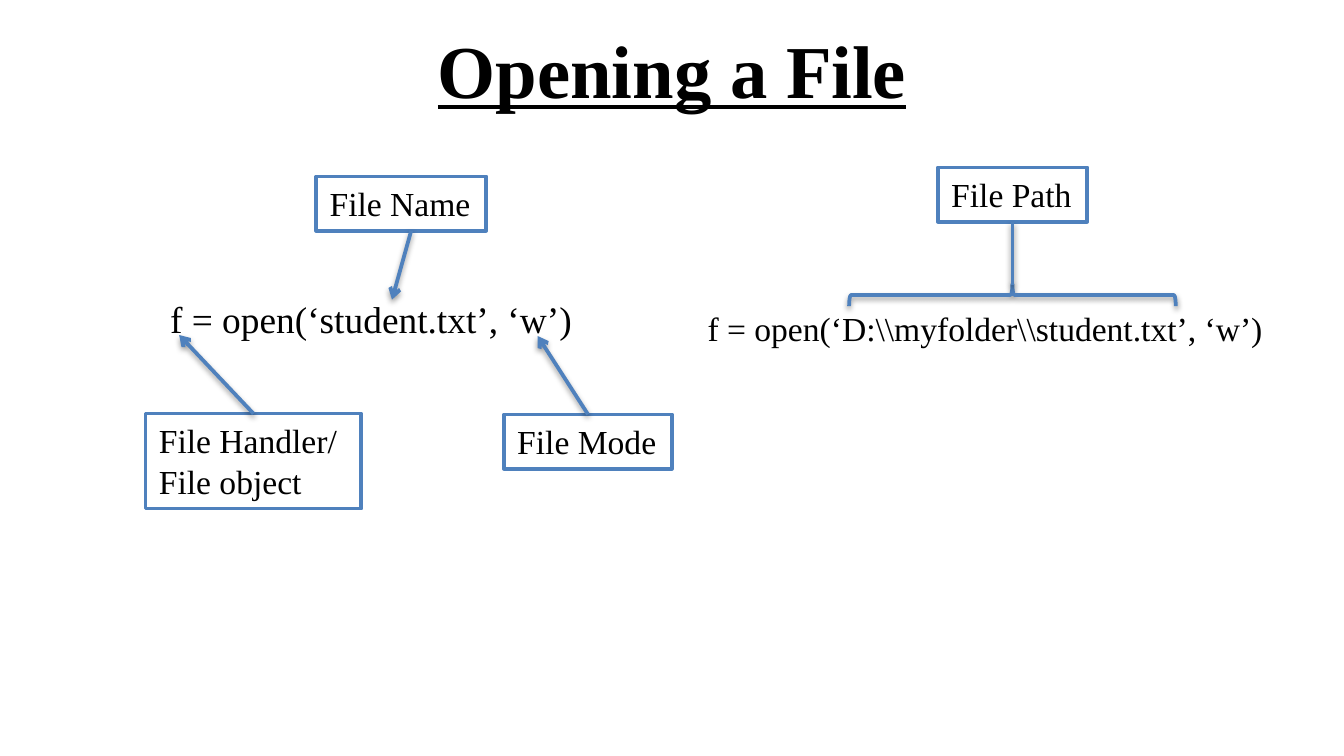
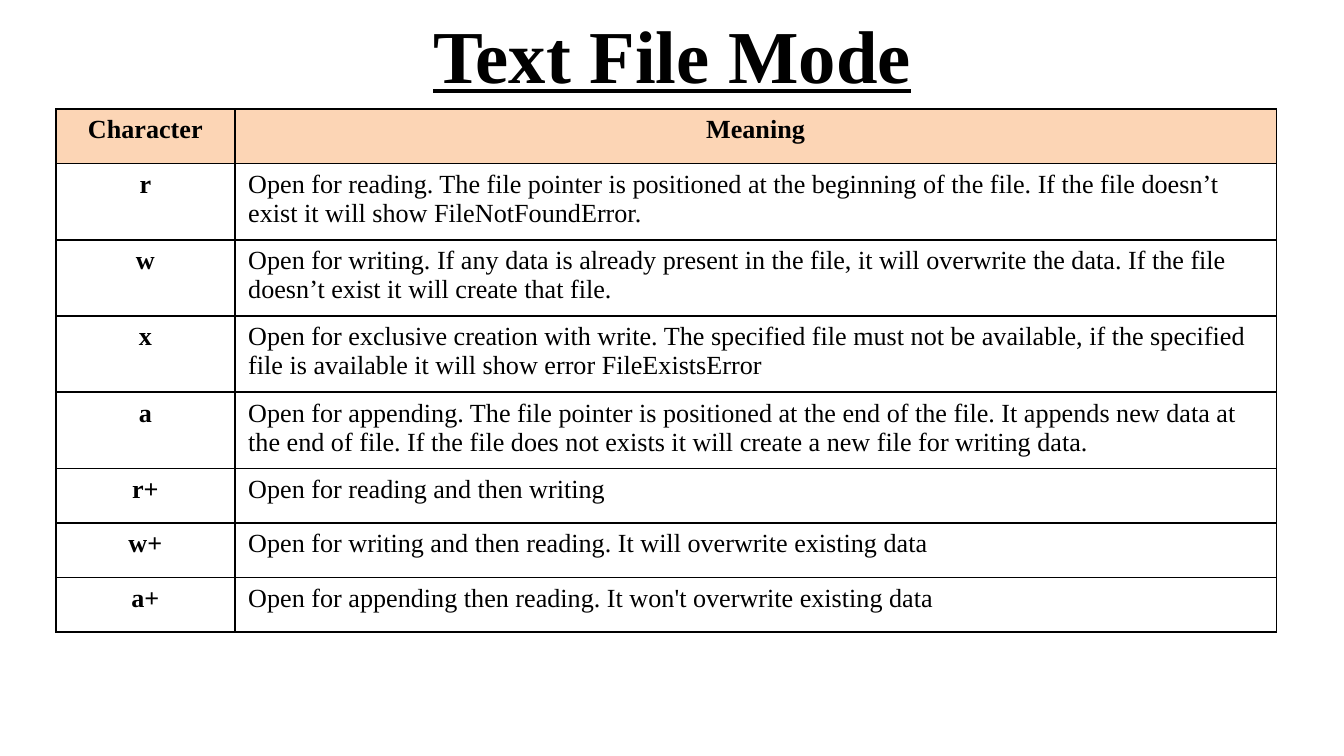
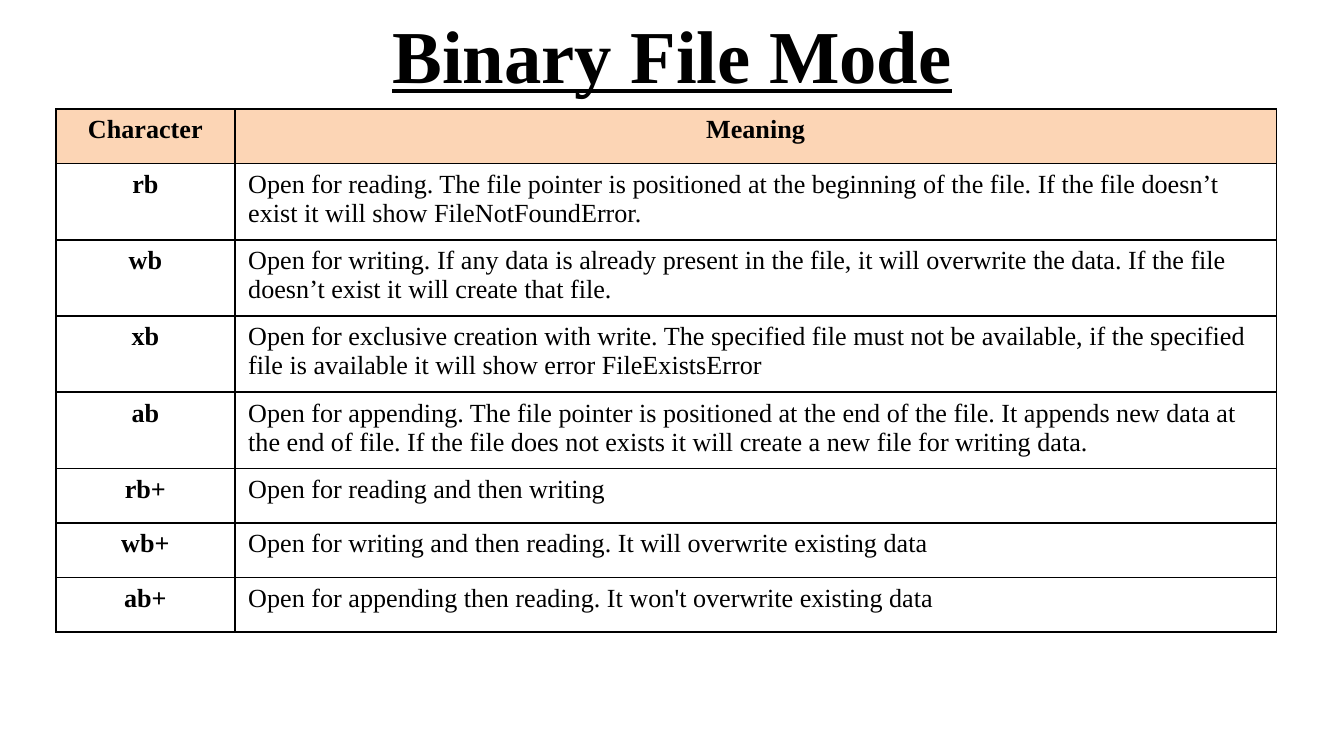
from lxml import etree
from pptx import Presentation
from pptx.dml.color import RGBColor
from pptx.enum import shapes, text
from pptx.oxml import ns
from pptx.util import Pt

FONT = "Times New Roman"
HUES = {"ink": "000000", "paper": "FFFFFF", "edge": "4F81BD", "head": "FCD5B5"}
COLS = (95.8, 558)
ROW = 29.2
MODES = (
    ("r", "Open for reading. The file pointer is positioned at the beginning of the file. "
     "If the file doesn’t exist it will show FileNotFoundError."),
    ("w", "Open for writing. If any data is already present in the file, it will overwrite "
     "the data. If the file doesn’t exist it will create that file."),
    ("x", "Open for exclusive creation with write. The specified file must not be available, "
     "if the specified file is available it will show error FileExistsError"),
    ("a", "Open for appending. The file pointer is positioned at the end of the file. It appends "
     "new data at the end of file. If the file does not exists it will create a new file "
     "for writing data."),
    ("r+", "Open for reading and then writing"),
    ("w+", "Open for writing and then reading. It will overwrite existing data"),
    ("a+", "Open for appending then reading. It won't overwrite existing data"),
)


def hue(name):
    return RGBColor.from_string(HUES[name])


def add_node(parent, tag, **attrs):
    return etree.SubElement(parent, ns.qn(tag), attrs)


def write(frame, words, size, bold=False, line=False, align=text.PP_ALIGN.LEFT):
    frame.text = words
    for para in frame.paragraphs:
        para.alignment = align
        for run in para.runs:
            font = run.font
            font.name, font.size = FONT, Pt(size)
            font.bold, font.underline = bold, line
            font.color.rgb = hue("ink")


def add_text(slide, words, box, size, wrap=True, **style):
    frame = slide.shapes.add_textbox(*map(Pt, box)).text_frame
    frame.word_wrap = wrap
    write(frame, words, size, **style)
    return frame


def add_title(slide, words, top, high):
    frame = add_text(slide, words, (36, top, 648, high), 40,
                     bold=True, line=True, align=text.PP_ALIGN.CENTER)
    frame.vertical_anchor = text.MSO_ANCHOR.MIDDLE


def draw_edge(shape):
    shape.line.color.rgb = hue("edge")
    shape.line.width = Pt(2)


def add_label(slide, words, box):
    label = slide.shapes.add_shape(shapes.MSO_SHAPE.RECTANGLE, *map(Pt, box))
    label.shadow.inherit = False
    label.fill.solid()
    label.fill.fore_color.rgb = hue("paper")
    draw_edge(label)
    frame = label.text_frame
    frame.word_wrap = False
    frame.auto_size = text.MSO_AUTO_SIZE.SHAPE_TO_FIT_TEXT
    frame.vertical_anchor = text.MSO_ANCHOR.TOP
    write(frame, words, 18)


def cast_shade(shape):
    effect = add_node(shape._element.spPr, "a:effectLst")
    shade = add_node(effect, "a:outerShdw", blurRad=str(Pt(3.1)), dist=str(Pt(1.6)),
                     dir="5400000", rotWithShape="0")
    tint = add_node(shade, "a:srgbClr", val=HUES["ink"])
    add_node(tint, "a:alpha", val="38000")


def add_link(slide, start, end, arrow=True):
    link = slide.shapes.add_connector(shapes.MSO_CONNECTOR.STRAIGHT, *map(Pt, start + end))
    draw_edge(link)
    if arrow:
        add_node(link._element.spPr.find(ns.qn("a:ln")), "a:tailEnd", type="arrow")
    cast_shade(link)


def add_brace(slide, box):
    brace = slide.shapes.add_shape(shapes.MSO_SHAPE.RIGHT_BRACE, *map(Pt, box))
    brace.rotation = 270
    brace.fill.background()
    draw_edge(brace)
    cast_shade(brace)


def add_rules(cell):
    props = cell._tc.get_or_add_tcPr()
    for side in ("a:lnL", "a:lnR", "a:lnT", "a:lnB"):
        rule = add_node(props, side, w=str(Pt(1)))
        add_node(add_node(rule, "a:solidFill"), "a:srgbClr", val=HUES["ink"])


def add_grid(slide, rows):
    size = (30, 58.4, sum(COLS), ROW * len(rows))
    grid = slide.shapes.add_table(len(rows), len(COLS), *map(Pt, size)).table
    grid.first_row = grid.horz_banding = False
    for col, wide in zip(grid.columns, COLS):
        col.width = Pt(wide)
    for r, row in enumerate(rows):
        grid.rows[r].height = Pt(ROW)
        for c, words in enumerate(row):
            cell = grid.cell(r, c)
            strong = r == 0 or c == 0
            align = text.PP_ALIGN.CENTER if strong else text.PP_ALIGN.LEFT
            write(cell.text_frame, words, 14, bold=strong, align=align)
            add_rules(cell)
            if r == 0:
                cell.fill.solid()
                cell.fill.fore_color.rgb = hue("head")
            else:
                cell.fill.background()


def show_open(slide):
    add_title(slide, "Opening a File", 3, 67.5)
    call = add_text(slide, "f = open(‘student.txt’, ‘w’)", (84, 155, 276, 42), 20)
    call.paragraphs[0].space_before = Pt(4)
    add_label(slide, "File Handler/\nFile object", (78, 221.6, 115.5, 50.9))
    add_link(slide, (135.8, 221.6), (96, 179.5))
    add_label(slide, "File Mode", (270, 222, 90, 29.1))
    add_link(slide, (315, 222), (288, 180))
    add_label(slide, "File Name", (169.5, 94.5, 91, 29.1))
    add_link(slide, (220.3, 123.6), (210, 160.5))
    add_text(slide, "f = open(‘D:\\\\myfolder\\\\student.txt’, ‘w’)",
             (372, 161.5, 315.5, 29.1), 18, wrap=False)
    add_label(slide, "File Path", (502.5, 89.7, 80, 29.1))
    add_brace(slide, (536.4, 70.5, 12, 175))
    add_link(slide, (542.4, 118.8), (542.4, 152.5), arrow=False)


def show_modes(slide, title, mark=""):
    add_title(slide, title, -1.5, 60)
    rows = [(key[0] + mark + key[1:], words) for key, words in MODES]
    add_grid(slide, [("Character", "Meaning")] + rows)


def main():
    deck = Presentation()
    deck.slide_width, deck.slide_height = Pt(720), Pt(405)
    blank = deck.slide_layouts[6]
    show_open(deck.slides.add_slide(blank))
    show_modes(deck.slides.add_slide(blank), "Text File Mode")
    show_modes(deck.slides.add_slide(blank), "Binary File Mode", "b")
    deck.save("out.pptx")


if __name__ == "__main__":
    main()
